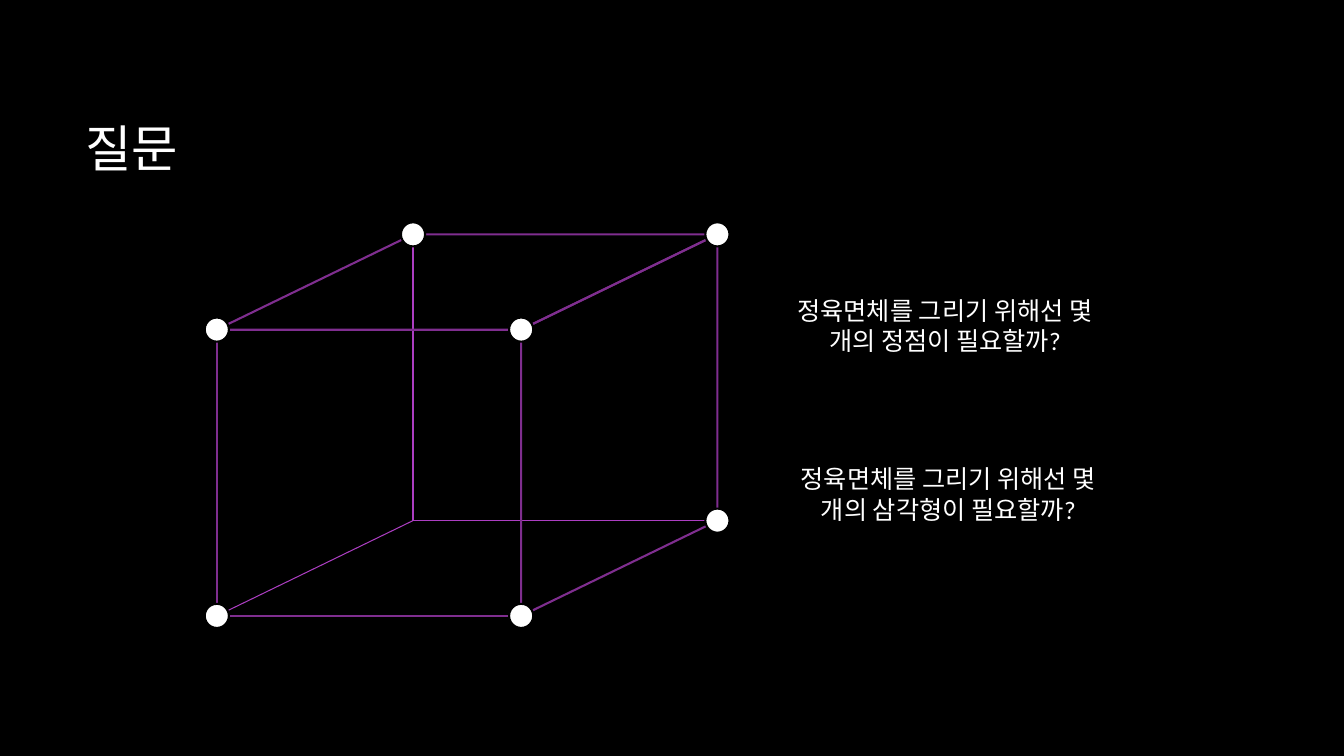
import itertools

import pptx
import pptx.dml.color
import pptx.enum.shapes
import pptx.enum.text
import pptx.oxml.ns
import pptx.util

THEME = {
    "font": "Calibri", "title": 36, "body": 18,
    "back": "000000", "text": "FFFFFF", "vertex": "FFFFFF",
    "edge": "7F2E8F", "edge_width": 1.5,
    "hidden": "AC3EC1", "hidden_width": 0.75,
}
RGB = pptx.dml.color.RGBColor.from_string
SHAPE = pptx.enum.shapes.MSO_SHAPE
ANCHOR = pptx.enum.text.MSO_ANCHOR
ALIGN = pptx.enum.text.PP_ALIGN

prs = pptx.Presentation()
prs.slide_width = pptx.util.Inches(13.33)
prs.slide_height = pptx.util.Inches(7.5)
s = prs.slides.add_slide(prs.slide_layouts[6])
s.background.fill.solid()
s.background.fill.fore_color.rgb = RGB(THEME["back"])


def at(x, y):
    """Turn percentages of the slide's width and height into lengths."""
    return int(prs.slide_width * x / 100), int(prs.slide_height * y / 100)


def add_text(text, x, y, w, h, size, align, anchor):
    tf = s.shapes.add_textbox(*at(x, y), *at(w, h)).text_frame
    tf.word_wrap = True
    tf.vertical_anchor = anchor
    p = tf.paragraphs[0]
    p.alignment = align
    r = p.add_run()
    r.text = text
    r.font.name = THEME["font"]
    r.font.size = pptx.util.Pt(size)
    r.font.color.rgb = RGB(THEME["text"])


# Cube vertices, keyed by (right, bottom, back)
left, top, width, height = 16.13, 43.6, 22.65, 37.87
depth_x, depth_y = 14.6, -12.6
vertices = {
    (i, j, k): at(left + i * width + k * depth_x, top + j * height + k * depth_y)
    for i, j, k in itertools.product((0, 1), repeat=3)
}
hidden = (0, 1, 1)

# Hidden edges
for neighbour in ((0, 0, 1), (0, 1, 0), (1, 1, 1)):
    c = s.shapes.add_connector(pptx.enum.shapes.MSO_CONNECTOR.STRAIGHT,
                               *vertices[hidden], *vertices[neighbour])
    c.line.color.rgb = RGB(THEME["hidden"])
    c.line.width = pptx.util.Pt(THEME["hidden_width"])
    c._element.spPr.append(pptx.oxml.parse_xml(
        "<a:effectLst %s/>" % pptx.oxml.ns.nsdecls("a")))

# Visible faces: front, top, right
faces = [s.shapes.add_shape(SHAPE.RECTANGLE, *vertices[0, 0, 0], *at(width, height))]
for corners in (
    ((0, 0, 1), (1, 0, 1), (1, 0, 0), (0, 0, 0)),
    ((1, 0, 0), (1, 0, 1), (1, 1, 1), (1, 1, 0)),
):
    points = [vertices[corner] for corner in corners]
    outline = s.shapes.build_freeform(*points[0])
    outline.add_line_segments(points[1:], close=True)
    faces.append(outline.convert_to_shape())
for face in faces:
    face.shadow.inherit = False
    face.fill.background()
    face.line.color.rgb = RGB(THEME["edge"])
    face.line.width = pptx.util.Pt(THEME["edge_width"])

# Visible vertices
dot = at(1.8, 0)[0]
for key, (x, y) in vertices.items():
    if key == hidden:
        continue
    sp = s.shapes.add_shape(SHAPE.OVAL, x - dot // 2, y - dot // 2, dot, dot)
    sp.shadow.inherit = False
    sp.fill.solid()
    sp.fill.fore_color.rgb = RGB(THEME["vertex"])
    sp.line.color.rgb = RGB(THEME["back"])
    sp.line.width = pptx.util.Pt(THEME["edge_width"])

# Title and questions
add_text("질문", 5.63, 8.93, 83.1, 21.2, THEME["title"], ALIGN.LEFT, ANCHOR.MIDDLE)
for noun, x, y in (("정점이", 58.2, 38.4), ("삼각형이", 58.45, 60.67)):
    add_text(f"정육면체를 그리기 위해선 몇 개의 {noun} 필요할까?",
             x, y, 24.23, 9.47, THEME["body"], ALIGN.CENTER, ANCHOR.TOP)

prs.save("out.pptx")
